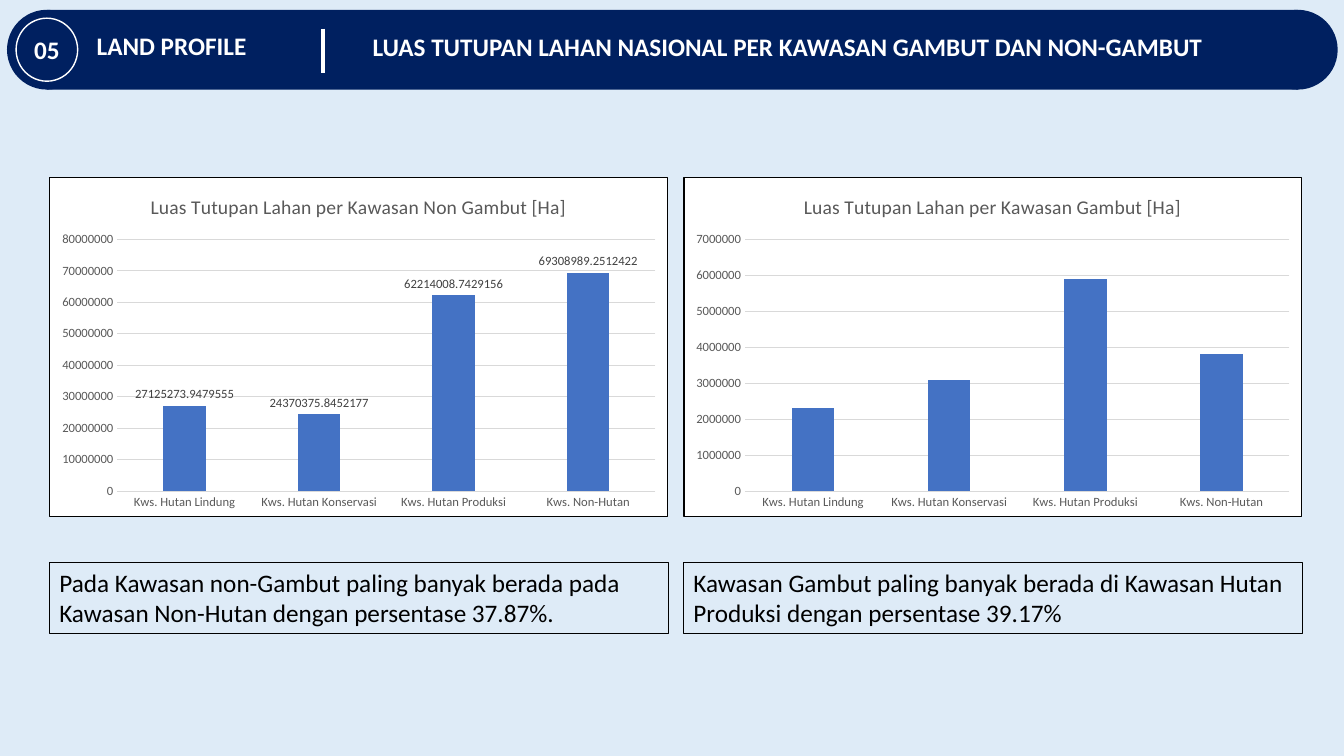
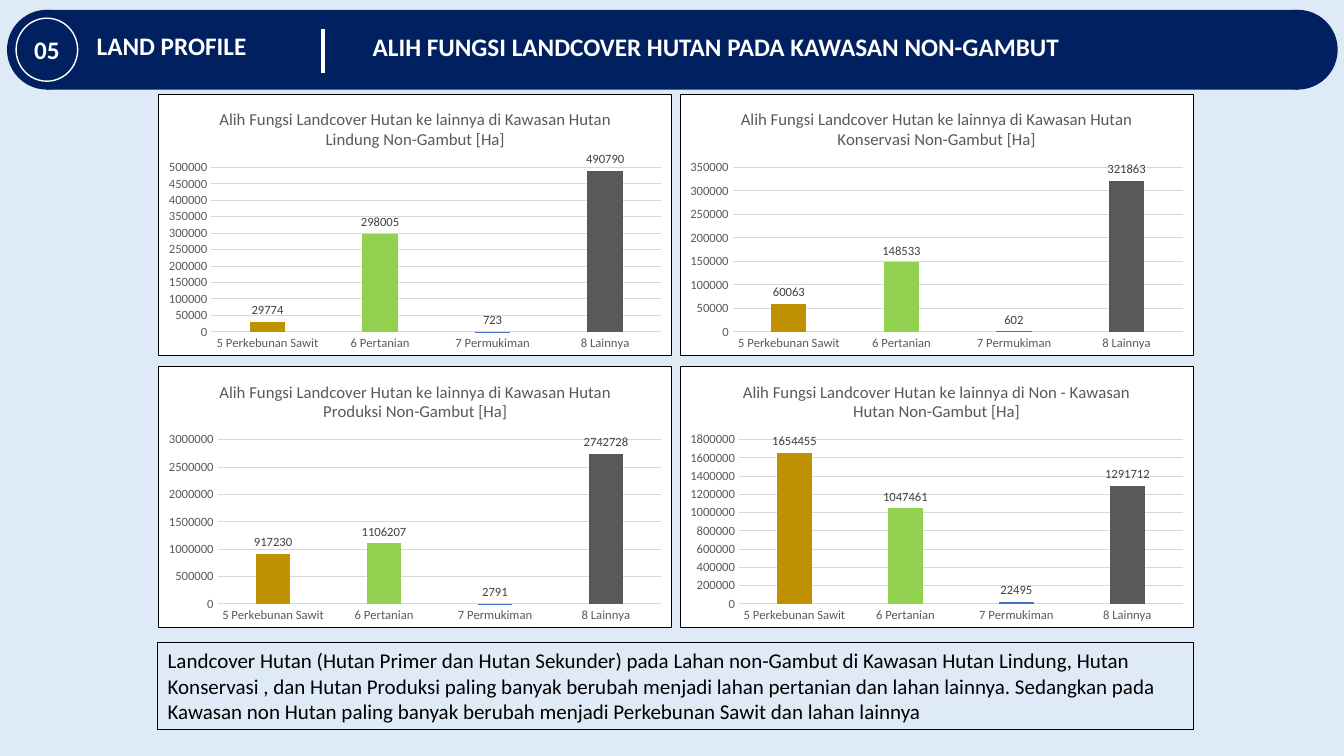
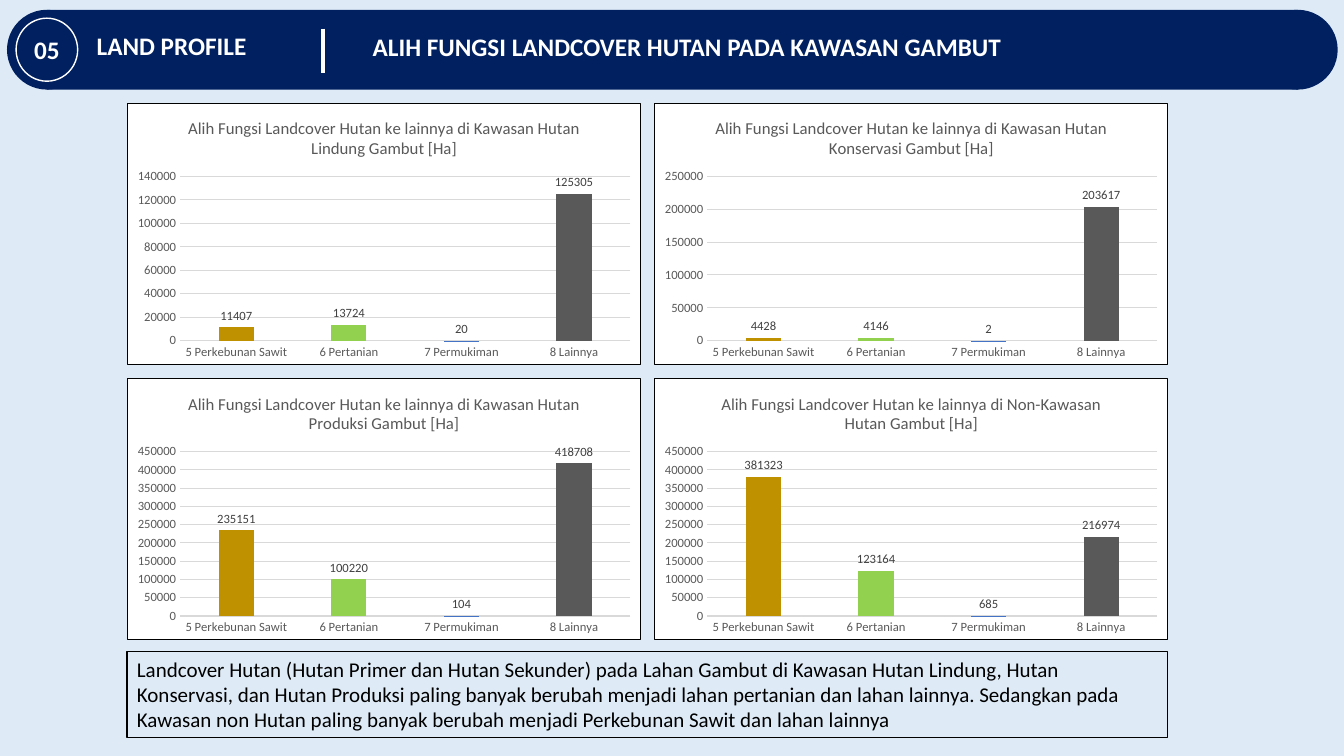
"""Build three land cover slides with a shared header band and column charts."""
from lxml import etree
from pptx import Presentation
from pptx import util as u
from pptx.chart import data as cd
from pptx.dml import color as dc
from pptx.enum import chart as ec, shapes as es, text as et
from pptx.oxml import ns, parse_xml

Pt = u.Pt
HEX = {
    "page": "DEEBF7", "navy": "002060", "white": "FFFFFF", "black": "000000",
    "gray": "595959", "label": "404040", "grid": "D9D9D9", "blue": "4472C4",
    "gold": "BF9000", "green": "92D050",
}
ZONES = ["Kws. Hutan Lindung", "Kws. Hutan Konservasi", "Kws. Hutan Produksi", "Kws. Non-Hutan"]
USES = ["5 Perkebunan Sawit", "6 Pertanian", "7 Permukiman", "8 Lainnya"]
TINTS = {0: "gold", 1: "green", 3: "gray"}
SHIFT = "Alih Fungsi Landcover Hutan ke lainnya di "


def rgb(name):
    return dc.RGBColor.from_string(HEX[name])


class Deck:
    def __init__(self):
        self.prs = Presentation()
        self.prs.slide_width, self.prs.slide_height = Pt(960), Pt(540)
        self.lay = self.prs.slide_layouts[5]
        self.lay.background.fill.solid()
        self.lay.background.fill.fore_color.rgb = rgb("page")
        self.slide = None

    def add(self, title):
        self.slide = self.prs.slides.add_slide(self.lay)
        if len(self.prs.slides) == 1:
            self.band()
        head = self.slide.shapes.title
        head.left, head.top, head.width, head.height = Pt(259), Pt(18.7), Pt(640), Pt(29)
        self.label(head, title, 18, "white", True)
        self.text((11, 21, 45, 29), "05", True)
        self.text((62, 18, 140, 29), "LAND PROFILE")
        self.rule(230.5, 20.5, 52.5)

    def band(self):
        oval, rect = es.MSO_SHAPE.OVAL, es.MSO_SHAPE.RECTANGLE
        parts = [(rect, 33.5, 7, 893.5, 57), (oval, 5, 7, 57, 57),
                 (oval, 898.5, 7, 57, 57), (oval, 11.5, 13, 44, 45)]
        for num, (kind, *box) in enumerate(parts, 90):
            item = self.slide.shapes.add_shape(kind, *map(Pt, box))
            item.shadow.inherit = False
            item.fill.solid()
            item.fill.fore_color.rgb = rgb("navy")
            item.line.fill.background()
            if num == 93:
                item.line.color.rgb = rgb("white")
                item.line.width = Pt(1)
            item.element.xpath(".//p:cNvPr")[0].set("id", str(num))
            self.lay.shapes.element.append(item.element)

    def label(self, item, words, size, tint, bold=False, mid=False):
        frame = item.text_frame
        frame.text = words
        frame.word_wrap = True
        frame.auto_size = et.MSO_AUTO_SIZE.NONE
        frame.vertical_anchor = et.MSO_ANCHOR.MIDDLE if mid else et.MSO_ANCHOR.TOP
        para = frame.paragraphs[0]
        para.alignment = et.PP_ALIGN.CENTER if mid else et.PP_ALIGN.LEFT
        self.style(para.runs[0].font, size, tint, bold)

    def style(self, font, size, tint, bold=False):
        font.name, font.size, font.bold = "Calibri", Pt(size), bold
        font.color.rgb = rgb(tint)

    def text(self, box, words, mid=False):
        item = self.slide.shapes.add_textbox(*map(Pt, box))
        self.label(item, words, 18, "white", True, mid)

    def note(self, box, words, size):
        item = self.slide.shapes.add_textbox(*map(Pt, box))
        item.line.color.rgb = rgb("black")
        item.line.width = Pt(0.75)
        self.label(item, words, size, "black")

    def rule(self, x, top, end):
        line = self.slide.shapes.add_connector(
            es.MSO_CONNECTOR.STRAIGHT, Pt(x), Pt(top), Pt(x), Pt(end))
        line.line.color.rgb = rgb("white")
        line.line.width = Pt(3)
        etree.SubElement(line.element.spPr, ns.qn("a:effectLst"))

    def frame(self, chart):
        fill = '<a:solidFill><a:srgbClr val="%s"/></a:solidFill>'
        chart.element.find(ns.qn("c:chart")).addnext(parse_xml(
            f'<c:spPr {ns.nsdecls("c", "a")}>{fill % HEX["white"]}'
            f'<a:ln w="9525">{fill % HEX["black"]}</a:ln></c:spPr>'))

    def axis(self, axis):
        axis.major_tick_mark = axis.minor_tick_mark = ec.XL_TICK_MARK.NONE
        self.style(axis.tick_labels.font, 9, "gray")

    def chart(self, box, title, size, cats, vals, top=None, step=None,
              form="0", tints=None, labels=True):
        data = cd.CategoryChartData()
        data.categories = cats
        data.add_series("Series 1", vals)
        kind = ec.XL_CHART_TYPE.COLUMN_CLUSTERED
        chart = self.slide.shapes.add_chart(kind, *map(Pt, box), data).chart
        self.style(chart.font, 10, "black")
        self.frame(chart)
        chart.has_legend = False
        chart.has_title = True
        head = chart.chart_title.text_frame
        head.text = title
        self.style(head.paragraphs[0].runs[0].font, size, "gray")

        self.axis(chart.category_axis)
        base = chart.category_axis.format.line
        base.color.rgb, base.width = rgb("grid"), Pt(0.75)
        scale = chart.value_axis
        self.axis(scale)
        scale.format.line.fill.background()
        scale.tick_labels.number_format = "0"
        scale.tick_labels.number_format_is_linked = False
        scale.minimum_scale, scale.maximum_scale, scale.major_unit = 0, top, step
        grid = scale.major_gridlines.format.line
        grid.color.rgb, grid.width = rgb("grid"), Pt(0.75)

        plot = chart.plots[0]
        plot.gap_width, plot.overlap, plot.vary_by_categories = 219, -27, False
        bars = plot.series[0]
        for fill, tint in [(bars.format.fill, "blue")] + [
                (bars.points[n].format.fill, t) for n, t in (tints or {}).items()]:
            fill.solid()
            fill.fore_color.rgb = rgb(tint)
        if labels:
            marks = bars.data_labels
            marks.show_value = True
            marks.position = ec.XL_LABEL_POSITION.OUTSIDE_END
            marks.number_format, marks.number_format_is_linked = form, False
            self.style(marks.font, 9, "label")

    def grid(self, left, top, gap, drop, charts):
        wide, high = 367.2, 187.2
        for num, (title, vals, *scale) in enumerate(charts):
            row, col = divmod(num, 2)
            box = (left + col * (wide + gap), top + row * (high + drop), wide, high)
            self.chart(box, SHIFT + title, 12, USES, vals, *scale, tints=TINTS)


def main():
    deck = Deck()

    deck.add("LUAS TUTUPAN LAHAN NASIONAL PER KAWASAN GAMBUT DAN NON-GAMBUT")
    pairs = [
        ("Non Gambut", [27125273.9479555, 24370375.8452177, 62214008.7429156, 69308989.2512422],
         True, "Pada Kawasan non-Gambut paling banyak berada pada Kawasan Non-Hutan "
         "dengan persentase 37.87%."),
        ("Gambut", [2300000, 3100000, 5900000, 3800000],
         False, "Kawasan Gambut paling banyak berada di Kawasan Hutan Produksi "
         "dengan persentase 39.17%"),
    ]
    for num, (land, vals, labels, words) in enumerate(pairs):
        left = 35.3 + 452.9 * num
        deck.chart((left, 126.3, 442, 243), f"Luas Tutupan Lahan per Kawasan {land} [Ha]",
                   14, ZONES, vals, form="General", labels=labels)
        deck.note((left, 401.8, 442, 51), words, 18)

    deck.add("ALIH FUNGSI LANDCOVER HUTAN PADA KAWASAN NON-GAMBUT")
    deck.grid(113, 67.2, 5.2, 7.2, [
        ("Kawasan Hutan Lindung Non-Gambut [Ha]", [29774, 298005, 723, 490790], 500000, 50000),
        ("Kawasan Hutan Konservasi Non-Gambut [Ha]", [60063, 148533, 602, 321863], 350000),
        ("Kawasan Hutan Produksi Non-Gambut [Ha]", [917230, 1106207, 2791, 2742728]),
        ("Non - Kawasan Hutan Non-Gambut [Ha]", [1654455, 1047461, 22495, 1291712], 1800000),
    ])
    tale = ("Landcover Hutan (Hutan Primer dan Hutan Sekunder) pada Lahan {} di Kawasan "
            "Hutan Lindung, Hutan {}, dan Hutan Produksi paling banyak berubah menjadi lahan "
            "pertanian dan lahan lainnya. Sedangkan pada Kawasan non Hutan paling banyak "
            "berubah menjadi Perkebunan Sawit dan lahan lainnya")
    deck.note((112.7, 459.2, 740, 62), tale.format("non-Gambut", "Konservasi "), 15)

    deck.add("ALIH FUNGSI LANDCOVER HUTAN PADA KAWASAN GAMBUT")
    deck.grid(90.7, 73.6, 9.4, 9.4, [
        ("Kawasan Hutan Lindung Gambut [Ha]", [11407, 13724, 20, 125305]),
        ("Kawasan Hutan Konservasi Gambut [Ha]", [4428, 4146, 2, 203617]),
        ("Kawasan Hutan Produksi Gambut [Ha]", [235151, 100220, 104, 418708]),
        ("Non-Kawasan Hutan Gambut [Ha]", [381323, 123164, 685, 216974]),
    ])
    deck.note((90.7, 465.1, 743, 62), tale.format("Gambut", "Konservasi"), 15)

    deck.prs.save("out.pptx")


if __name__ == "__main__":
    main()
